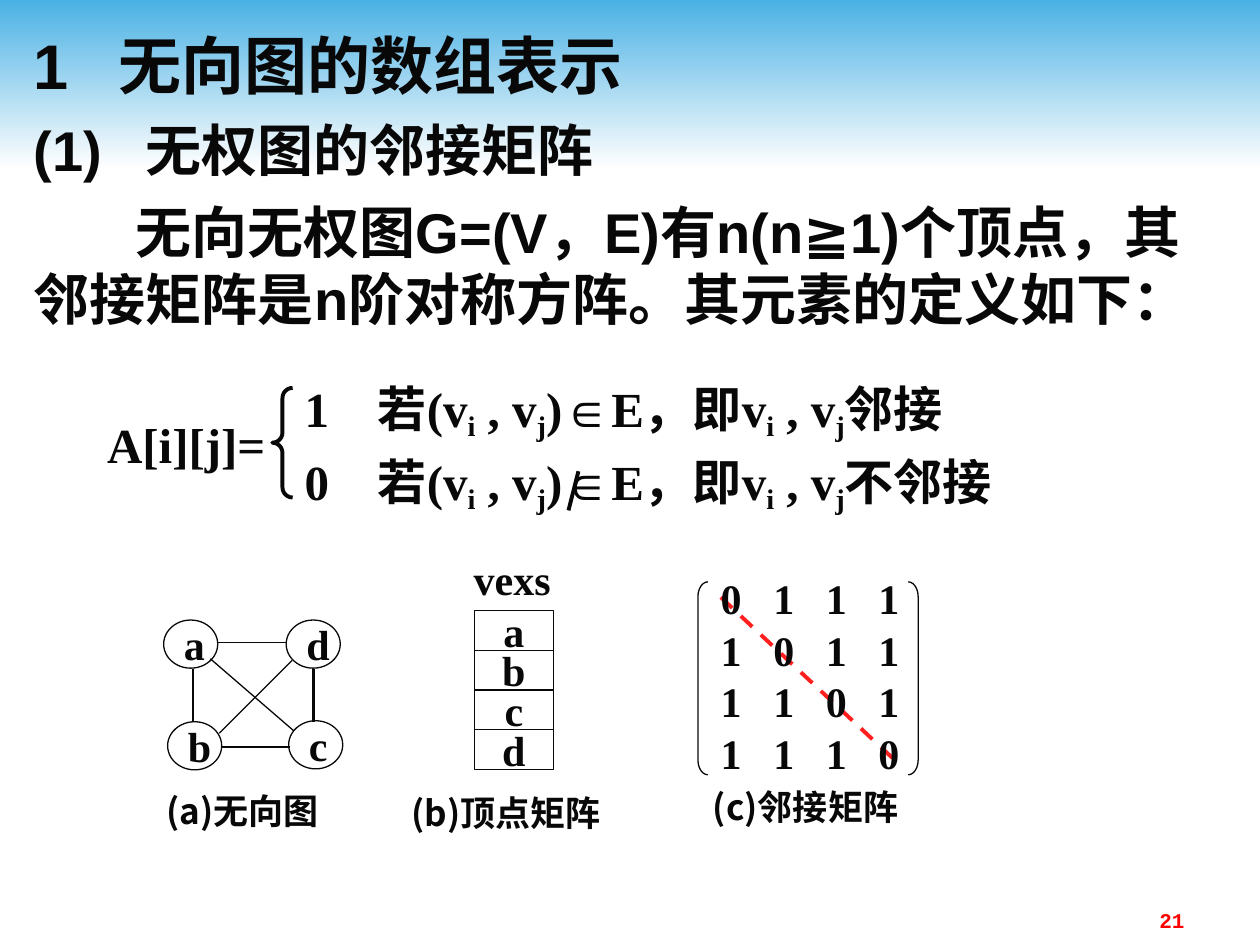
from dataclasses import dataclass
from typing import NamedTuple

from lxml import etree
from pptx import Presentation, util as u
from pptx.dml.color import RGBColor
from pptx.enum import dml, shapes, text
from pptx.oxml.ns import qn


@dataclass(frozen=True)
class Theme:
    ink: str = "080808"
    accent: str = "FF1F1F"
    number: str = "FF0000"
    sky: str = "4AB1E4"
    pale: str = "FEFEFE"
    sans: str = "Arial"
    serif: str = "Times New Roman"
    cjk: str = "Noto Sans CJK SC"
    mono: str = "Courier New"
    title: int = 36
    body: int = 32
    formula: int = 28
    label: int = 24
    caption: int = 20
    small: int = 12
    thin: float = 0.75
    medium: float = 1.5
    thick: float = 2.25


T = Theme()
LEFT, CENTER, RIGHT = (text.PP_ALIGN.LEFT, text.PP_ALIGN.CENTER, text.PP_ALIGN.RIGHT)


class Box(NamedTuple):
    left: float
    top: float
    width: float
    height: float


class Style(NamedTuple):
    size: int
    font: str = T.serif
    color: str = T.ink


class Piece(NamedTuple):
    text: str
    sub: bool = False
    font: str = T.serif


class Label(NamedTuple):
    text: str
    box: Box
    style: Style
    align: text.PP_ALIGN = LEFT


class Edge(NamedTuple):
    x1: float
    y1: float
    x2: float
    y2: float
    weight: float = T.thin
    color: str = T.ink
    dashed: bool = False


class Heading(NamedTuple):
    text: str
    size: int
    line: float
    before: float = 0
    indent: float = 0
    tab: float = 0


def lengths(values) -> list:
    return [u.Cm(v) for v in values]


def format_run(r, style: Style) -> None:
    r.font.size = u.Pt(style.size)
    r.font.bold = True
    r.font.name = style.font
    r.font.color.rgb = RGBColor.from_string(style.color)
    etree.SubElement(r._r.get_or_add_rPr(), qn("a:ea"), typeface=T.cjk)


def add_tabs(p, stops: list) -> None:
    tabs = etree.SubElement(p._p.get_or_add_pPr(), qn("a:tabLst"))
    for stop in stops:
        etree.SubElement(tabs, qn("a:tab"), pos=str(u.Cm(stop)), algn="l")


def write(sp, content: str, style: Style, align=LEFT):
    tf = sp.text_frame
    tf.word_wrap = False
    tf.vertical_anchor = text.MSO_ANCHOR.MIDDLE
    tf.text = content
    p = tf.paragraphs[0]
    p.alignment = align
    for r in p.runs:
        format_run(r, style)
    return p


def add_label(s, label: Label):
    sp = s.shapes.add_textbox(*lengths(label.box))
    return write(sp, label.text, label.style, label.align)


def add_outline(s, kind, box: Box, weight: float = T.thin):
    sp = s.shapes.add_shape(kind, *lengths(box))
    sp.shadow.inherit = False
    sp.fill.background()
    sp.line.color.rgb = RGBColor.from_string(T.ink)
    sp.line.width = u.Pt(weight)
    return sp


def add_edge(s, edge: Edge) -> None:
    cx = s.shapes.add_connector(shapes.MSO_CONNECTOR.STRAIGHT, *lengths(edge[:4]))
    cx.line.color.rgb = RGBColor.from_string(edge.color)
    cx.line.width = u.Pt(edge.weight)
    if edge.dashed:
        cx.line.dash_style = dml.MSO_LINE.DASH
    etree.SubElement(cx._element.spPr, qn("a:effectLst"))


def add_banner(s) -> None:
    sp = s.shapes.add_shape(shapes.MSO_SHAPE.RECTANGLE, *lengths(Box(0, 0, 25.4, 3.38)))
    sp.shadow.inherit = False
    sp.line.fill.background()
    sp.fill.gradient()
    sp.fill.gradient_angle = 270
    for stop, position, color in zip(sp.fill.gradient_stops, (0, 1), (T.sky, T.pale)):
        stop.position = position
        stop.color.rgb = RGBColor.from_string(color)


def add_body(s, headings: list) -> None:
    tf = s.shapes.add_textbox(*lengths(Box(0.43, 0.41, 24.49, 7.65))).text_frame
    tf.word_wrap = True
    tf.margin_right = u.Cm(0.8)
    tf.text = "\n".join(h.text for h in headings)
    for p, h in zip(tf.paragraphs, headings):
        if h.tab:
            add_tabs(p, [h.tab])
        if h.indent:
            p._p.get_or_add_pPr().set("indent", str(u.Cm(h.indent)))
        p.line_spacing = u.Pt(h.line)
        p.space_before = u.Pt(h.before)
        for r in p.runs:
            format_run(r, Style(h.size, T.sans))


def add_condition(s, box: Box, value: str, ending: str) -> None:
    pair = [Piece("i", True), Piece(" , v"), Piece("j", True)]
    pieces = [Piece(f"{value}\t若(v"), *pair, Piece(")"), Piece("∈", font=T.sans),
              Piece("E，即v"), *pair, Piece(ending)]
    tf = s.shapes.add_textbox(*lengths(box)).text_frame
    tf.word_wrap = False
    tf.vertical_anchor = text.MSO_ANCHOR.MIDDLE
    p = tf.paragraphs[0]
    add_tabs(p, [1.48])
    for piece in pieces:
        r = p.add_run()
        r.text = piece.text
        format_run(r, Style(T.formula, piece.font))
        if piece.sub:
            r._r.get_or_add_rPr().set("baseline", "-18000")


HEADINGS = [
    Heading("1\t无向图的数组表示", T.title, 43, tab=1.7),
    Heading("(1)\t无权图的邻接矩阵", T.body, 38.5, 8, tab=2.26),
    Heading("无向无权图G=(V，E)有n(n≧1)个顶点，其邻接矩阵是n阶对称方阵。其元素的定义如下：",
            T.body, 38.5, 8, indent=2.05),
]
CAPTION = Style(T.caption, T.cjk)
NAME = Style(T.label)
LABELS = [
    Label("A[i][j]=", Box(1.91, 8.36, 4, 1.19), Style(T.formula)),
    Label("(a)无向图", Box(3.1, 15.9, 3.99, 0.89), CAPTION),
    Label("(b)顶点矩阵", Box(7.9, 15.93, 4.6, 0.89), CAPTION, CENTER),
    Label("(c)邻接矩阵", Box(13.89, 15.82, 4.7, 0.89), CAPTION, CENTER),
    Label("vexs", Box(9.3, 11.23, 2.4, 0.89), NAME),
    Label("21", Box(18.21, 18.2, 5.92, 0.69), Style(T.small, T.mono, T.number), RIGHT),
]
VERTICES = {"a": (3.3, 12.5), "b": (3.38, 14.55), "c": (5.82, 14.53), "d": (5.77, 12.5)}
EDGES = [
    Edge(3.89, 13.49, 3.89, 14.55, T.medium),
    Edge(6.32, 13.49, 6.32, 14.55, T.medium),
    Edge(4.24, 13.28, 5.92, 14.73),
    Edge(4.39, 12.95, 5.77, 12.95),
    Edge(4.45, 15.06, 5.84, 15.06),
    Edge(4.42, 14.78, 5.89, 13.31),
]
DIAGONAL = Edge(14.53, 12.04, 18.14, 15.42, T.thick, T.accent, True)
NOT_IN_STROKE = Edge(11.66, 9.5, 11.46, 10.29, T.thick)


def main() -> None:
    prs = Presentation()
    prs.slide_width, prs.slide_height = u.Cm(25.4), u.Cm(19.05)
    s = prs.slides.add_slide(prs.slide_layouts[6])
    kinds = shapes.MSO_SHAPE
    add_banner(s)
    add_body(s, HEADINGS)
    add_condition(s, Box(5.89, 7.62, 15.5, 1.3), "1", "邻接")
    add_condition(s, Box(5.89, 9.09, 15.5, 1.3), "0", "不邻接")
    brace = add_outline(s, kinds.LEFT_BRACE, Box(5.49, 7.82, 0.41, 2.21), T.thick)
    brace.adjustments[0] = 0.5
    for label in LABELS:
        add_label(s, label)
    for i, (name, (x, y)) in enumerate(VERTICES.items()):
        write(add_outline(s, kinds.OVAL, Box(x, y, 1.09, 0.97)), name, NAME)
        cell = add_outline(s, kinds.RECTANGLE, Box(9.56, 12.31 + 0.8 * i, 1.6, 0.8))
        write(cell, name, NAME, CENTER)
    for edge in [*EDGES, DIAGONAL, NOT_IN_STROKE]:
        add_edge(s, edge)
    size = len(VERTICES)
    for i in range(size):
        row = "\t".join("0" if i == j else "1" for j in range(size))
        p = add_label(s, Label(row, Box(14.28, 11.61 + 1.04 * i, 4.3, 0.89), NAME))
        add_tabs(p, [1.06 * j for j in range(1, size)])
    for kind, x in ((kinds.LEFT_BRACKET, 14.07), (kinds.RIGHT_BRACKET, 18.31)):
        add_outline(s, kind, Box(x, 11.73, 0.2, 3.89)).adjustments[0] = 1.5
    prs.save("out.pptx")


if __name__ == "__main__":
    main()
